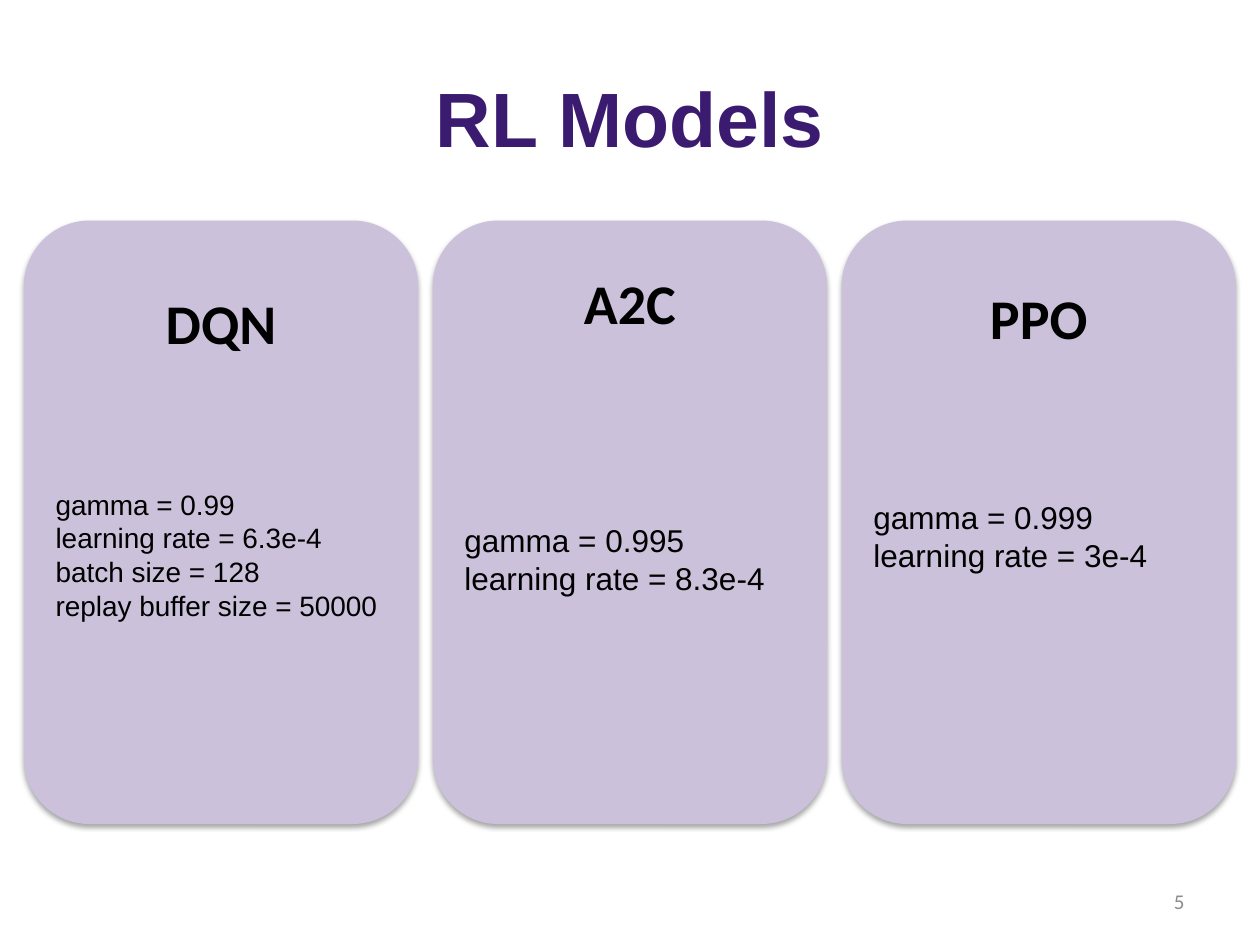
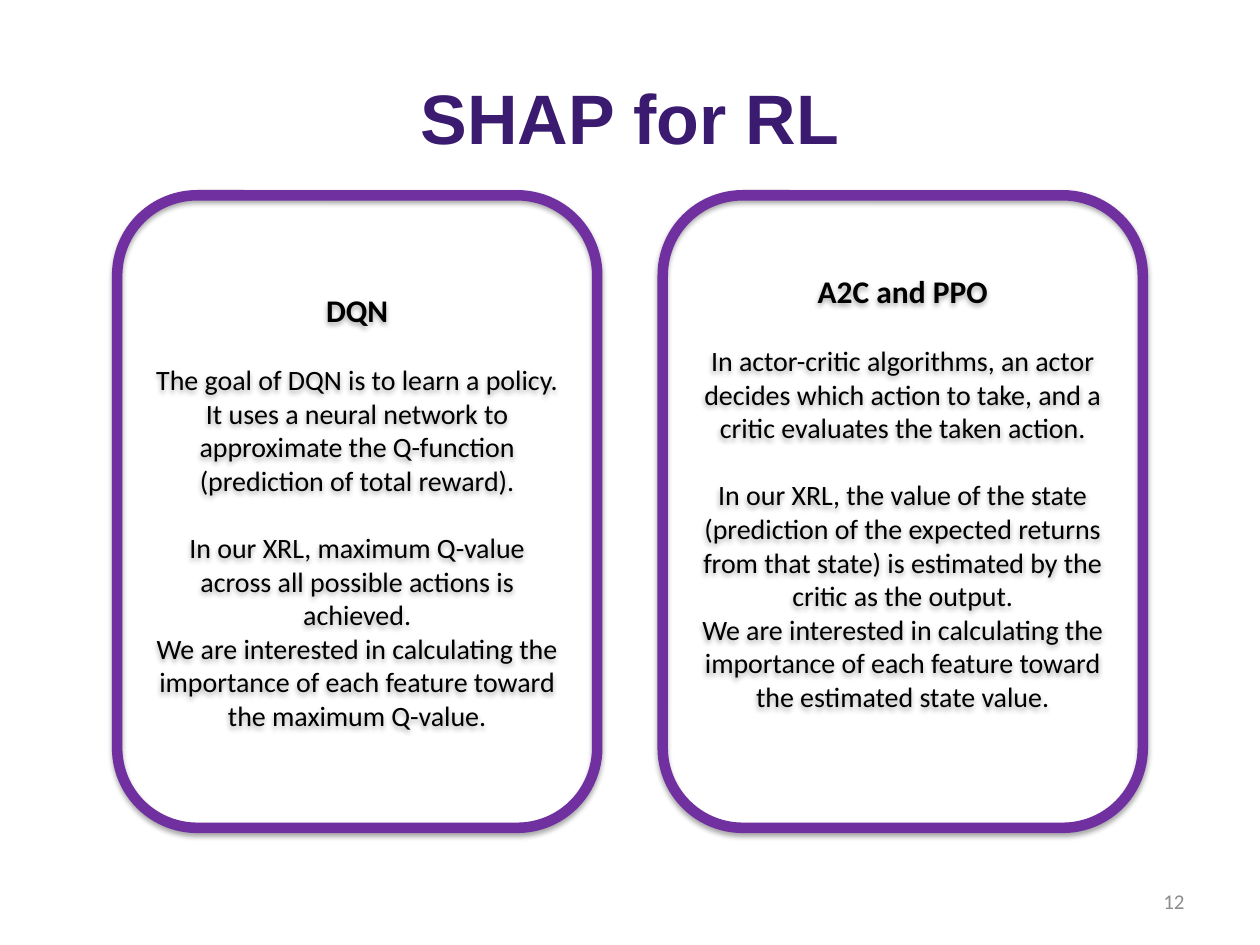
from lxml import etree
from pptx import Presentation
from pptx.dml.color import RGBColor
from pptx.enum.shapes import MSO_SHAPE
from pptx.enum.text import MSO_ANCHOR, PP_ALIGN
from pptx.oxml.ns import qn
from pptx.util import Inches, Pt

COLORS = {
    "title": "3B1B70",
    "text": "000000",
    "number": "8C8C8C",
    "panel": "CCC1DA",
    "border": "7030A0",
    "shadow": "000000",
}
HEADING_FONT, PLAIN_FONT = "Calibri", "Arial"

# Spacing: inset above the heading in inches, gap below it in points
MODELS = [
    {"name": "DQN", "size": 16, "inset": 0.39, "gap": 75,
     "settings": ["gamma = 0.99", "learning rate = 6.3e-4",
                  "batch size = 128", "replay buffer size = 50000"]},
    {"name": "A2C", "size": 18, "inset": 0.23, "gap": 106,
     "settings": ["gamma = 0.995", "learning rate = 8.3e-4"]},
    {"name": "PPO", "size": 18, "inset": 0.35, "gap": 84,
     "settings": ["gamma = 0.999", "learning rate = 3e-4"]},
]

EXPLANATIONS = [
    {"name": "DQN", "bottom_inset": 0.05, "texts": [
        "The goal of DQN is to learn a policy. It uses a neural network to "
        "approximate the Q-function (prediction of total reward).",
        "In our XRL, maximum Q-value across all possible actions is achieved.",
        "We are interested in calculating the importance of each feature "
        "toward the maximum Q-value."]},
    {"name": "A2C and PPO", "bottom_inset": 0.35, "texts": [
        "In actor-critic algorithms, an actor decides which action to take, "
        "and a critic evaluates the taken action.",
        "In our XRL, the value of the state (prediction of the expected "
        "returns from that state) is estimated by the critic as the output.",
        "We are interested in calculating the importance of each feature "
        "toward the estimated state value."]},
]


def color(name):
    return RGBColor.from_string(COLORS[name])


def style(paragraph, size, font, color_name="text", bold=False,
          align=PP_ALIGN.CENTER):
    paragraph.alignment = align
    for run in paragraph.runs:
        run.font.size = Pt(size)
        run.font.name = font
        run.font.bold = bold
        run.font.color.rgb = color(color_name)


def add_slide(deck, title, title_size, number):
    """Add a slide with the shared title style and page number."""
    slide = deck.slides.add_slide(deck.slide_layouts[5])
    heading = slide.shapes.title
    heading.left, heading.top = Inches(0.5), Inches(0.3)
    heading.width, heading.height = Inches(9), Inches(1.25)
    heading.text_frame.text = title
    heading.text_frame.vertical_anchor = MSO_ANCHOR.MIDDLE
    style(heading.text_frame.paragraphs[0], title_size, PLAIN_FONT, "title", True)

    footer = slide.shapes.add_textbox(
        Inches(7.17), Inches(6.95), Inches(2.33), Inches(0.4)).text_frame
    footer.word_wrap = True
    footer.vertical_anchor = MSO_ANCHOR.MIDDLE
    footer.text = str(number)
    style(footer.paragraphs[0], 12, HEADING_FONT, "number", align=PP_ALIGN.RIGHT)
    return slide


def add_soft_shadow(shape):
    shape.shadow.inherit = False
    effects = shape._element.spPr.find(qn("a:effectLst"))
    shadow = etree.SubElement(effects, qn("a:outerShdw"), blurRad="40000",
                              dist="23000", dir="5400000", rotWithShape="0")
    tint = etree.SubElement(shadow, qn("a:srgbClr"), val=COLORS["shadow"])
    etree.SubElement(tint, qn("a:alpha"), val="35000")


def add_card(slide, left, top, width, height, name, name_size, lines):
    """Add a rounded card holding a bold heading and lines of text."""
    card = slide.shapes.add_shape(MSO_SHAPE.ROUNDED_RECTANGLE, Inches(left),
                                  Inches(top), Inches(width), Inches(height))
    add_soft_shadow(card)
    frame = card.text_frame
    frame.word_wrap = True
    frame.text = "\n".join([name, *lines])
    style(frame.paragraphs[0], name_size, HEADING_FONT, bold=True)
    return card


def add_model_slide(deck):
    slide = add_slide(deck, "RL Models", 44, 5)
    for column, model in enumerate(MODELS):
        card = add_card(slide, 0.19 + column * 3.245, 1.75, 3.13, 4.79,
                        model["name"], 32, model["settings"])
        card.fill.solid()
        card.fill.fore_color.rgb = color("panel")
        card.line.fill.background()
        frame = card.text_frame
        frame.vertical_anchor = MSO_ANCHOR.TOP
        frame.margin_top = Inches(model["inset"])
        settings = frame.paragraphs[1:]
        for setting in settings:
            style(setting, model["size"], PLAIN_FONT, align=PP_ALIGN.LEFT)
            setting.line_spacing = Pt(model["size"] * 1.2)
        settings[0].space_before = Pt(model["gap"])


def add_shap_slide(deck):
    slide = add_slide(deck, "SHAP for RL", 40, 12)
    for column, explanation in enumerate(EXPLANATIONS):
        card = add_card(slide, 0.93 + column * 4.33, 1.55, 3.81, 5.02,
                        explanation["name"], 18, explanation["texts"])
        card.fill.background()
        card.line.color.rgb = color("border")
        card.line.width = Pt(6)
        frame = card.text_frame
        frame.vertical_anchor = MSO_ANCHOR.MIDDLE
        frame.margin_bottom = Inches(explanation["bottom_inset"])
        texts = frame.paragraphs[1:]
        for text in texts:
            style(text, 16, HEADING_FONT)
        for text in texts[:2]:
            text.space_before = Pt(19.2)


def main():
    deck = Presentation()
    deck.slide_width, deck.slide_height = Inches(10), Inches(7.5)
    add_model_slide(deck)
    add_shap_slide(deck)
    deck.save("out.pptx")


if __name__ == "__main__":
    main()
